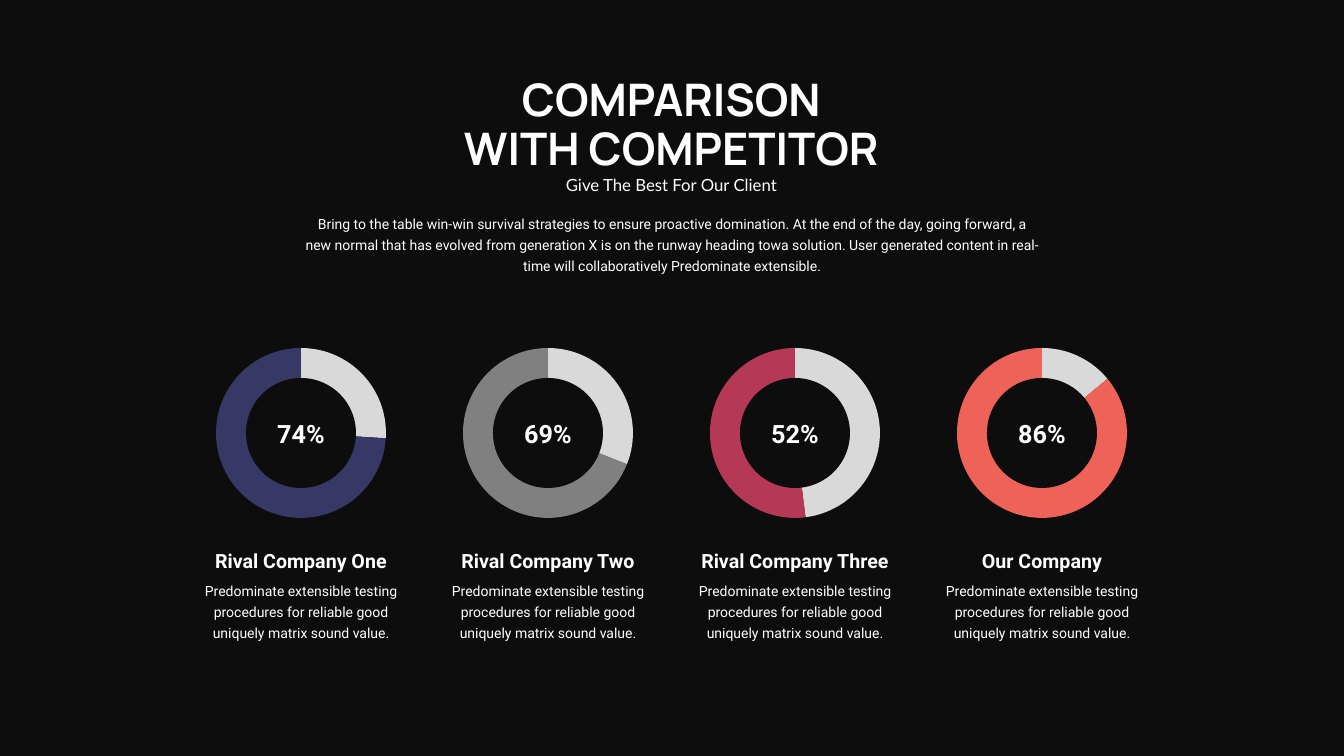
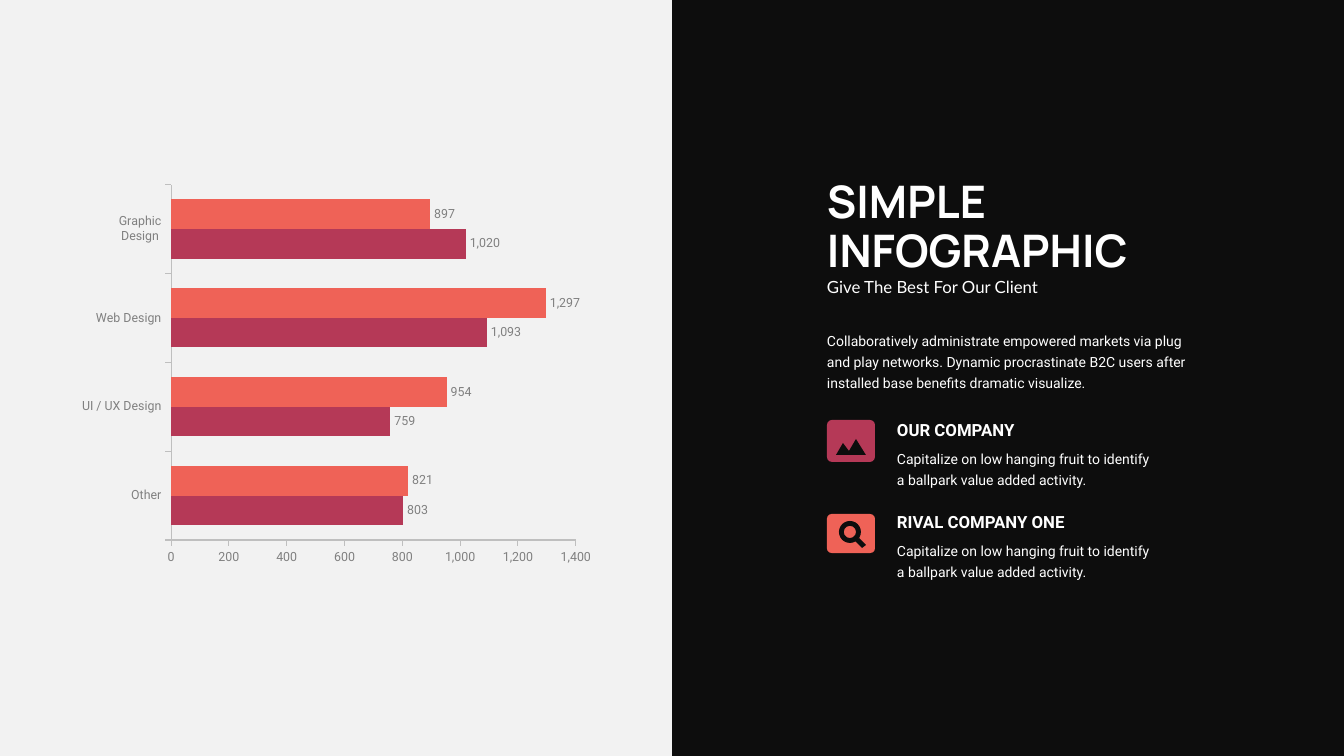
from dataclasses import dataclass

import lxml.etree
import pptx
import pptx.chart.data
import pptx.dml.color
import pptx.enum.chart
import pptx.enum.shapes
import pptx.enum.text
import pptx.oxml.ns
import pptx.util

SLIDE_WIDTH, SLIDE_HEIGHT = 1344, 756
EMU_PER_PX = 12192000 / SLIDE_WIDTH

ALIGN = pptx.enum.text.PP_ALIGN
ANCHOR = pptx.enum.text.MSO_ANCHOR
SHAPE = pptx.enum.shapes.MSO_SHAPE
CHART = pptx.enum.chart.XL_CHART_TYPE


@dataclass(frozen=True)
class TextStyle:
    font: str
    size: int
    bold: bool = False
    line_points: int = 0
    color: str = "FFFFFF"


@dataclass(frozen=True)
class Theme:
    dark: str = "0D0D0D"
    panel: str = "F2F2F2"
    track: str = "D9D9D9"
    axis: str = "BFBFBF"
    gray: str = "808080"
    navy: str = "383866"
    berry: str = "B53957"
    coral: str = "EF6257"
    title: TextStyle = TextStyle("Manrope", 32, True, 35)
    subtitle: TextStyle = TextStyle("Lato", 12)
    body: TextStyle = TextStyle("Roboto", 10, line_points=15)
    figure: TextStyle = TextStyle("Roboto", 18, True)
    column_heading: TextStyle = TextStyle("Roboto", 14, True)
    feature_heading: TextStyle = TextStyle("Roboto", 12, True)
    chart: TextStyle = TextStyle("Roboto", 9, color="808080")


def px(length):
    return pptx.util.Emu(round(length * EMU_PER_PX))


def rgb(value):
    return pptx.dml.color.RGBColor.from_string(value)


def fill_solid(target, color):
    target.fill.solid()
    target.fill.fore_color.rgb = rgb(color)


def set_font(font, style):
    font.name = style.font
    font.size = pptx.util.Pt(style.size)
    font.bold = style.bold
    font.color.rgb = rgb(style.color)


def set_plot_layout(chart, **fractions):
    """Pin the inner plot area to x, y, w, h as fractions of the chart."""
    qn = pptx.oxml.ns.qn
    plot_area = chart.element.find(".//" + qn("c:plotArea"))
    for old_layout in plot_area.findall(qn("c:layout")):
        plot_area.remove(old_layout)
    layout = lxml.etree.Element(qn("c:layout"))
    manual = lxml.etree.SubElement(layout, qn("c:manualLayout"))
    settings = {"layoutTarget": "inner", "xMode": "edge", "yMode": "edge", **fractions}
    for name, value in settings.items():
        lxml.etree.SubElement(manual, qn("c:" + name)).set("val", str(value))
    plot_area.insert(0, layout)


class Deck:
    """Holds the theme, the presentation and the slide being filled."""

    def __init__(self, theme):
        self.theme = theme
        self.presentation = pptx.Presentation()
        self.presentation.slide_width = px(SLIDE_WIDTH)
        self.presentation.slide_height = px(SLIDE_HEIGHT)
        fill_solid(self.presentation.slide_master.background, theme.dark)
        self.slide = None

    def new_slide(self):
        self.slide = self.presentation.slides.add_slide(self.presentation.slide_layouts[6])

    def paint(self, shape, color):
        fill_solid(shape, color)
        shape.line.fill.background()
        shape.shadow.inherit = False
        return shape

    def shape(self, kind, left, top, width, height, color):
        shape = self.slide.shapes.add_shape(kind, px(left), px(top), px(width), px(height))
        return self.paint(shape, color)

    def polygon(self, points, color):
        start, *others = [(px(x), px(y)) for x, y in points]
        builder = self.slide.shapes.build_freeform(*start)
        builder.add_line_segments(others)
        return self.paint(builder.convert_to_shape(), color)

    def text(self, left, top, width, height, lines, style,
             align=ALIGN.LEFT, anchor=ANCHOR.TOP):
        box = self.slide.shapes.add_textbox(px(left), px(top), px(width), px(height))
        frame = box.text_frame
        frame.word_wrap = True
        frame.vertical_anchor = anchor
        frame.margin_left = frame.margin_top = frame.margin_right = frame.margin_bottom = 0
        for index, line in enumerate(lines):
            paragraph = frame.add_paragraph() if index else frame.paragraphs[0]
            paragraph.alignment = align
            if style.line_points:
                paragraph.line_spacing = pptx.util.Pt(style.line_points)
            run = paragraph.add_run()
            run.text = line
            set_font(run.font, style)

    def header(self, left, top, width, title_lines, align=ALIGN.LEFT):
        self.text(left, top, width, 99, title_lines, self.theme.title, align, ANCHOR.MIDDLE)
        self.text(left, top + 99, width, 20, ["Give The Best For Our Client"],
                  self.theme.subtitle, align)

    def chart(self, kind, left, top, width, height, categories, series, number_format="General"):
        data = pptx.chart.data.CategoryChartData(number_format=number_format)
        data.categories = categories
        for name, values in series:
            data.add_series(name, values)
        chart = self.slide.shapes.add_chart(
            kind, px(left), px(top), px(width), px(height), data).chart
        chart.has_title = False
        chart.has_legend = False
        set_font(chart.font, self.theme.chart)
        return chart

    def ring(self, left, top, size, percent, color):
        """Draw a pie with a dark centre and its percentage."""
        chart = self.chart(CHART.PIE, left, top, size, size, ["1", "2"],
                           [("Series 1", (100 - percent, percent))])
        set_plot_layout(chart, x=0, y=0, w=1, h=1)
        for index, point_color in enumerate((self.theme.track, color)):
            point = chart.plots[0].series[0].points[index]
            fill_solid(point.format, point_color)
            point.format.line.fill.background()
        inset = 30
        hole = size - 2 * inset
        self.shape(SHAPE.OVAL, left + inset, top + inset, hole, hole, self.theme.dark)
        self.text(left + inset, top + inset, hole, hole, [f"{percent}%"],
                  self.theme.figure, ALIGN.CENTER, ANCHOR.MIDDLE)

    def bars(self, left, top, width, height, categories, series, colors):
        number_format = "#,##0"
        chart = self.chart(CHART.BAR_CLUSTERED, left, top, width, height,
                           categories, series, number_format)
        set_plot_layout(chart, x=0.16, y=0, w=0.81, h=0.92)
        plot = chart.plots[0]
        plot.gap_width = 100
        plot.overlap = 0
        plot.vary_by_categories = False
        for bar_series, color in zip(plot.series, colors):
            fill_solid(bar_series.format, color)
            labels = bar_series.data_labels
            labels.show_value = True
            labels.position = pptx.enum.chart.XL_LABEL_POSITION.OUTSIDE_END
            labels.number_format = number_format
            labels.number_format_is_linked = False
            set_font(labels.font, self.theme.chart)
        for axis in (chart.category_axis, chart.value_axis):
            axis.has_major_gridlines = False
            axis.major_tick_mark = pptx.enum.chart.XL_TICK_MARK.OUTSIDE
            axis.format.line.color.rgb = rgb(self.theme.axis)
            axis.format.line.width = pptx.util.Pt(0.75)
            set_font(axis.tick_labels.font, self.theme.chart)
        chart.value_axis.minimum_scale = 0
        chart.value_axis.maximum_scale = 1400
        chart.value_axis.major_unit = 200
        chart.value_axis.tick_labels.number_format = number_format
        chart.value_axis.tick_labels.number_format_is_linked = False

    def tile(self, left, top, width, height, color):
        tile = self.shape(SHAPE.ROUNDED_RECTANGLE, left, top, width, height, color)
        tile.adjustments[0] = 0.12

    def picture_icon(self, left, top):
        self.tile(left, top, 48, 42, self.theme.berry)
        mountains = ((16, 23), (9, 35), (39, 35), (29, 19), (22, 31))
        self.polygon([(left + x, top + y) for x, y in mountains], self.theme.dark)

    def search_icon(self, left, top):
        self.tile(left, top, 48, 39, self.theme.coral)
        lens = self.shape(SHAPE.DONUT, left + 12, top + 7, 22, 22, self.theme.dark)
        lens.adjustments[0] = 0.22
        handle = ((28, 27), (35, 34), (39, 31), (32, 24))
        self.polygon([(left + x, top + y) for x, y in handle], self.theme.dark)

    def feature(self, left, top, heading):
        self.text(left, top, 258, 20, [heading], self.theme.feature_heading)
        self.text(left, top + 26, 258, 40,
                  ["Capitalize on low hanging fruit to identify a ballpark value added activity."],
                  self.theme.body)


def comparison_slide(deck):
    theme = deck.theme
    deck.new_slide()
    deck.header(415, 76, 513, ["COMPARISON", "WITH COMPETITOR"], ALIGN.CENTER)
    deck.text(305, 211, 734, 62, [
        "Bring to the table win-win survival strategies to ensure proactive domination. "
        "At the end of the day, going forward, a new normal that has evolved from generation X "
        "is on the runway heading towa solution. User generated content in real-time will "
        "collaboratively Predominate extensible."], theme.body, ALIGN.CENTER)
    companies = (
        ("Rival Company One", 74, theme.navy),
        ("Rival Company Two", 69, theme.gray),
        ("Rival Company Three", 52, theme.berry),
        ("Our Company", 86, theme.coral),
    )
    for index, (company, percent, color) in enumerate(companies):
        left = 216 + index * 247
        deck.ring(left, 348, 170, percent, color)
        deck.text(left - 14, 549, 198, 24, [company], theme.column_heading, ALIGN.CENTER)
        deck.text(left - 14, 578, 198, 62, [
            "Predominate extensible testing procedures for reliable good "
            "uniquely matrix sound value."], theme.body, ALIGN.CENTER)


def infographic_slide(deck):
    theme = deck.theme
    deck.new_slide()
    deck.shape(SHAPE.RECTANGLE, 0, 0, SLIDE_WIDTH // 2, SLIDE_HEIGHT, theme.panel)
    deck.bars(82, 184, 509, 387,
              ["Other", "UI / UX Design", "Web Design", "Graphic Design"],
              [("Series 1", (803, 759, 1093, 1020)), ("Series 2", (821, 954, 1297, 897))],
              (theme.berry, theme.coral))
    left = 827
    deck.header(left, 178, 363, ["SIMPLE", "INFOGRAPHIC"])
    deck.text(left, 328, 363, 62, [
        "Collaboratively administrate empowered markets via plug and play networks. "
        "Dynamic procrastinate B2C users after installed base benefits dramatic visualize."],
        theme.body)
    deck.picture_icon(left, 420)
    deck.feature(left + 70, 420, "OUR COMPANY")
    deck.search_icon(left, 514)
    deck.feature(left + 70, 512, "RIVAL COMPANY ONE")


def main():
    deck = Deck(Theme())
    comparison_slide(deck)
    infographic_slide(deck)
    deck.presentation.save("out.pptx")


if __name__ == "__main__":
    main()
